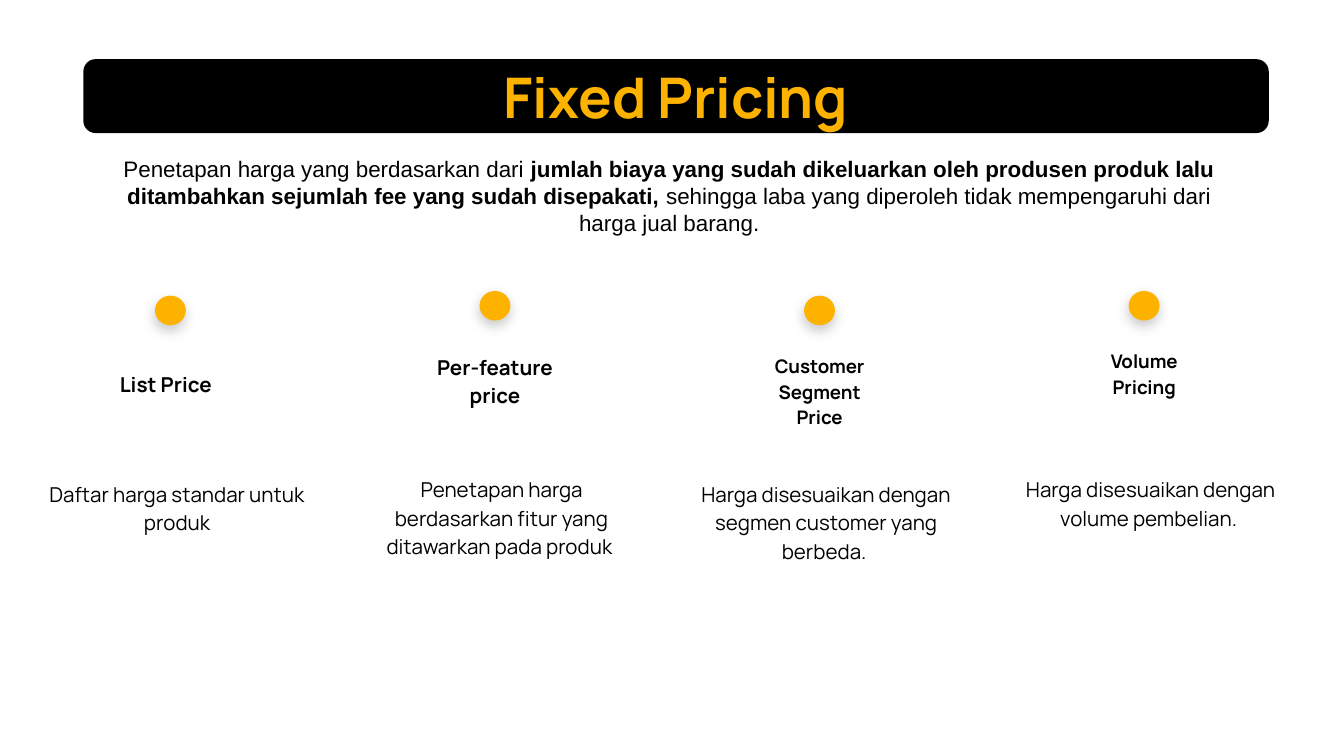
from lxml import etree
from pptx import Presentation
from pptx import util as u
from pptx.dml.color import RGBColor
from pptx.enum import shapes, text
from pptx.oxml import ns

HUES = {"ink": "000000", "gold": "FEB200", "page": "FFFFFF"}
COLS, ROWS = 100, 56.25
CELL = u.Inches(0.1)
KIND = shapes.MSO_SHAPE
MID, LEFT = text.PP_ALIGN.CENTER, text.PP_ALIGN.LEFT


def hue(name):
    return RGBColor.from_string(HUES[name])


def grid(*cells):
    return [round(n * CELL) for n in cells]


def write(shape, runs, size, font="Manrope", tone="ink", align=MID, lead=1.0):
    frame = shape.text_frame
    frame.word_wrap = True
    frame.margin_left = frame.margin_right = CELL
    frame.margin_top = frame.margin_bottom = CELL
    para = frame.paragraphs[0]
    para.alignment = align
    para.line_spacing = lead
    for words, bold in runs:
        run = para.add_run()
        run.text = words
        run.font.name = font
        run.font.size = u.Pt(size)
        run.font.bold = bold
        run.font.color.rgb = hue(tone)
    return frame


def label(slide, box, runs, size, **style):
    return write(slide.shapes.add_textbox(*grid(*box)), runs, size, **style)


def block(slide, kind, box, tone):
    shape = slide.shapes.add_shape(kind, *grid(*box))
    shape.shadow.inherit = False
    shape.fill.solid()
    shape.fill.fore_color.rgb = hue(tone)
    shape.line.fill.background()
    return shape


def shade(shape):
    glow = shape.element.spPr.find(ns.qn("a:effectLst"))
    cast = etree.SubElement(
        glow, ns.qn("a:outerShdw"), blurRad=str(u.Pt(6.8)), dist=str(u.Pt(3)),
        dir=str(96 * 60000), algn="bl", rotWithShape="0")
    ink = etree.SubElement(cast, ns.qn("a:srgbClr"), val=HUES["ink"])
    etree.SubElement(ink, ns.qn("a:alpha"), val="22000")


def banner(slide, box, title):
    bar = block(slide, KIND.FLOWCHART_ALTERNATE_PROCESS, box, "ink")
    frame = write(bar, [(title, True)], 30, tone="gold")
    frame.vertical_anchor = text.MSO_ANCHOR.MIDDLE


def intro(slide, box, runs):
    frame = label(slide, box, runs, 12, font="Arial")
    frame.auto_size = text.MSO_AUTO_SIZE.SHAPE_TO_FIT_TEXT


def column(slide, box, item):
    left, top, wide, high = box
    head, note, size, drop, span, align = item
    mid = left + wide / 2 - 0.5
    label(slide, (left, top + 12.6, wide, high - 12.6), [(note, False)], 11,
          lead=1.15)
    label(slide, (mid - span / 2, top + drop, span, 3.3), [(head, True)], size,
          align=align, lead=1.15)
    shade(block(slide, KIND.OVAL, (mid - 1.15, top, 2.3, 2.2), "gold"))


def main():
    deck = Presentation()
    deck.slide_width, deck.slide_height = grid(COLS, ROWS)
    slide = deck.slides.add_slide(deck.slide_layouts[6])
    slide.background.fill.solid()
    slide.background.fill.fore_color.rgb = hue("page")
    intro(slide, (6.2, 10.55, 87.2, 8.1), [
        ("Penetapan harga yang berdasarkan dari ", False),
        ("jumlah biaya yang sudah dikeluarkan oleh produsen produk lalu "
         "ditambahkan sejumlah fee yang sudah disepakati,", True),
        (" sehingga laba yang diperoleh tidak mempengaruhi dari harga jual "
         "barang.", False)])
    banner(slide, (6.2, 4.4, 88.2, 5.5), "Fixed Pricing")
    items = [
        ("List Price", "Daftar harga standar untuk produk",
         11, 4.4, 9.5, LEFT),
        ("Per-feature price",
         "Penetapan harga berdasarkan fitur yang ditawarkan pada produk ",
         11, 3.5, 11.8, MID),
        ("Customer Segment Price",
         "Harga disesuaikan dengan segmen customer yang berbeda. ",
         10, 3.15, 9.5, MID),
        ("Volume Pricing", "Harga disesuaikan dengan volume pembelian. ",
         10, 3.15, 9.5, MID),
    ]
    step = 72.45 / (len(items) - 1)
    for i, item in enumerate(items):
        top = 22 - 0.35 * (i % 2)
        column(slide, (2.03, top, 22.3, 15.9) if i == 0
               else (2.03 + i * step, top, 22.3, 15.9), item)
    deck.save("out.pptx")


if __name__ == "__main__":
    main()
